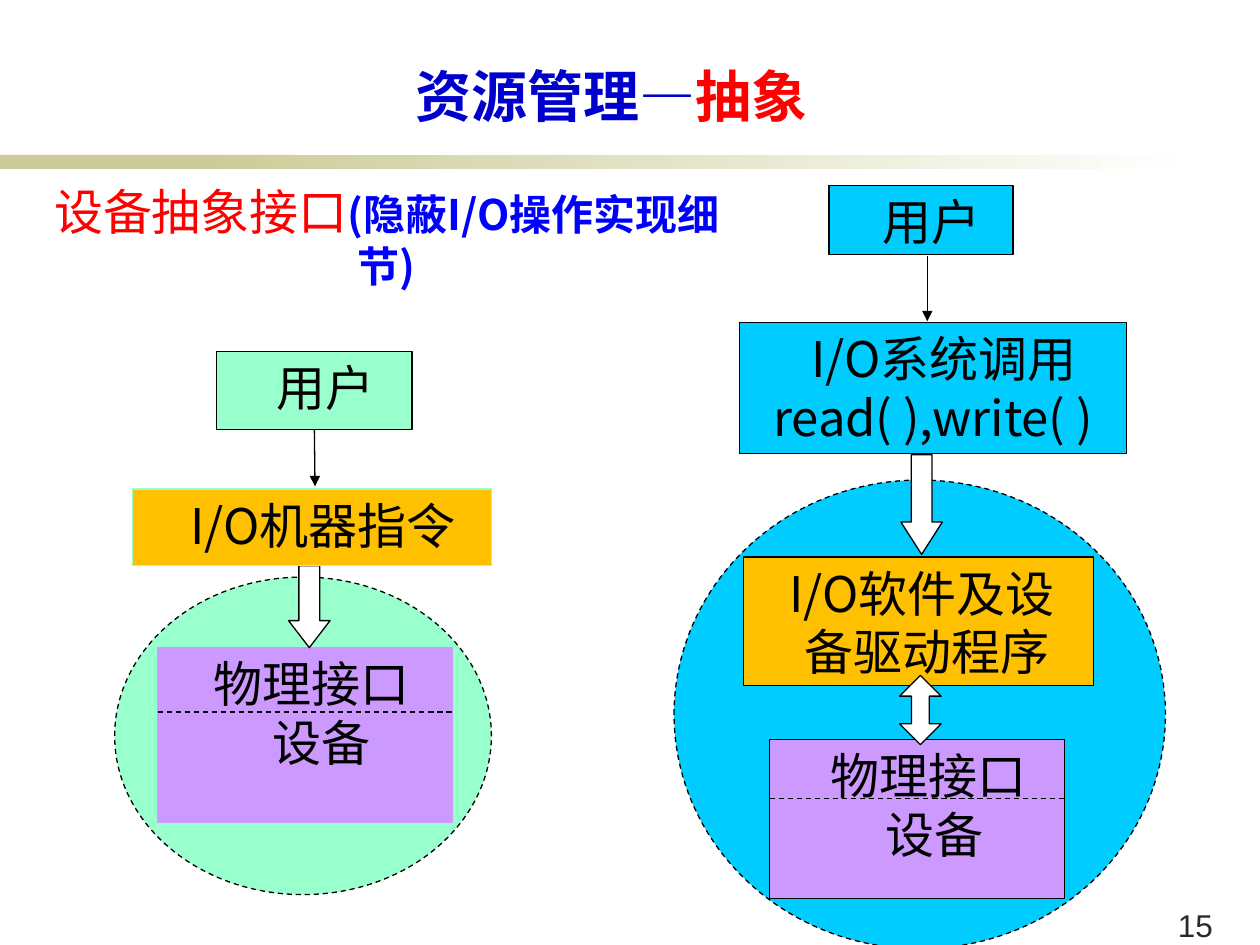
from pptx import Presentation, util as u
from pptx.dml.color import RGBColor
from pptx.enum import dml, shapes, text
from pptx.oxml.ns import qn
from lxml import etree

COLORS = {
    "black": "000000", "white": "FFFFFF", "khaki": "CCCC99", "mint": "99FFCC",
    "violet": "CC99FF", "amber": "FFC000", "cyan": "00CCFF", "navy": "0000CC",
    "blue": "0000FF", "red": "FF0000", "gray": "292929",
}
CJK = "Noto Sans CJK JP"
FRAME = {"word_wrap": True, "auto_size": text.MSO_AUTO_SIZE.NONE,
         "vertical_anchor": text.MSO_ANCHOR.TOP}
CENTERED = {"alignment": text.PP_ALIGN.CENTER, "line_spacing": 1.0,
            "space_before": u.Pt(0)}
Preset = shapes.MSO_SHAPE


def rgb(name):
    """Return the named palette colour."""
    return RGBColor.from_string(COLORS[name])


def apply(target, values):
    """Set every attribute listed in values on target."""
    for key, value in values.items():
        setattr(target, key, value)


def within(box, left, top, width, height):
    """Turn offsets inside a box into a box on the slide."""
    return box[0] + left, box[1] + top, width, height


def inches(box):
    """Convert a box to lengths."""
    return [u.Inches(value) for value in box]


def add_run(paragraph, words, size, color, bold=False, face=CJK):
    """Append a formatted run."""
    run = paragraph.add_run()
    run.text = words
    apply(run.font, {"name": face, "size": u.Pt(size), "bold": bold})
    run.font.color.rgb = rgb(color)
    east_asian = etree.SubElement(run.font._element, qn("a:ea"))
    east_asian.set("typeface", face)


def add_part(slide, box, preset, fill, line="black", dashed=False,
             lines=(), adjustments=()):
    """Add an outlined shape holding (words, first-line indent) paragraphs."""
    part = slide.shapes.add_shape(preset, *inches(box))
    part.shadow.inherit = False
    part.fill.solid()
    part.fill.fore_color.rgb = rgb(fill)
    part.line.color.rgb = rgb(line)
    part.line.width = u.Pt(0.75)
    if dashed:
        part.line.dash_style = dml.MSO_LINE.DASH
    for index, value in enumerate(adjustments):
        part.adjustments[index] = value
    frame = part.text_frame
    apply(frame, FRAME)
    for index, (words, indent) in enumerate(lines):
        paragraph = frame.add_paragraph() if index else frame.paragraphs[0]
        apply(paragraph, CENTERED)
        paragraph._p.get_or_add_pPr().set("indent", str(u.Inches(indent)))
        add_run(paragraph, words, 28, "black")
    return part


def add_line(slide, start, end, dashed=False, arrow=False):
    """Add a thin straight line, dashed or with an arrowhead on request."""
    line = slide.shapes.add_connector(
        shapes.MSO_CONNECTOR.STRAIGHT, *inches(start + end))
    line.line.color.rgb = rgb("black")
    line.line.width = u.Pt(0.75)
    if dashed:
        line.line.dash_style = dml.MSO_LINE.DASH
    if arrow:
        head = etree.SubElement(line.line._get_or_add_ln(), qn("a:tailEnd"))
        head.set("type", "triangle")
    etree.SubElement(line._element.spPr, qn("a:effectLst"))
    return line


def add_device(slide, box, split, line, interface_indent):
    """Add the device block, divided by a dashed line at the split height."""
    add_part(slide, box, Preset.RECTANGLE, "violet", line,
             lines=[("物理接口", interface_indent), ("设备", 0.27)])
    left, top, width, _ = box
    add_line(slide, (left, top + split), (left + width, top + split), dashed=True)


def add_header(slide, box):
    """Place the title and the fading rule below it."""
    left, top, _, _ = box
    solid = slide.shapes.add_shape(
        Preset.RECTANGLE, *inches(within(box, 0, 1.23, 2.33, 0.11)))
    fading = slide.shapes.add_shape(
        Preset.RECTANGLE, *inches(within(box, 1.58, 1.23, 7.92, 0.11)))
    solid.fill.solid()
    solid.fill.fore_color.rgb = rgb("khaki")
    fading.fill.gradient()
    fading.fill.gradient_angle = 0
    for stop, color, position in zip(
            fading.fill.gradient_stops, ("khaki", "white"), (0, 1)):
        stop.color.rgb = rgb(color)
        stop.position = position
    for bar in (solid, fading):
        bar.shadow.inherit = False
        bar.line.fill.background()

    title = slide.shapes.title
    apply(title, dict(zip(("left", "top", "width", "height"),
                          inches((left + 0.83, top + 0.44, 8.05, 0.63)))))
    apply(title.text_frame,
          {**FRAME, "vertical_anchor": text.MSO_ANCHOR.BOTTOM})
    heading = title.text_frame.paragraphs[0]
    apply(heading, CENTERED)
    add_run(heading, "资源管理—", 32, "navy", True)
    add_run(heading, "抽象", 32, "red", True)


def add_subtitle(slide, box):
    """Place the statement about the device interface."""
    frame = slide.shapes.add_textbox(*inches(box)).text_frame
    apply(frame, {**FRAME, "margin_left": u.Inches(0.18),
                  "margin_right": u.Inches(0.18)})
    statement = frame.paragraphs[0]
    apply(statement, CENTERED)
    add_run(statement, "设备抽象接口", 28, "red")
    add_run(statement, "(隐蔽I/O操作实现细节)", 24, "blue", True)


def add_machine_view(slide, box):
    """Draw the user working through machine instructions."""
    add_part(slide, within(box, 0, 1.79, 2.99, 2.52), Preset.OVAL, "mint", dashed=True)
    add_device(slide, within(box, 0.34, 2.35, 2.34, 1.39), 0.51, "violet", 0.1)
    add_part(slide, within(box, 1.38, 1.7, 0.33, 0.65), Preset.DOWN_ARROW,
             "white", adjustments=(0.5, 0.65))
    user = add_part(slide, within(box, 0.81, 0, 1.55, 0.62), Preset.RECTANGLE,
                    "mint", lines=[("用户", 0.17)])
    add_part(slide, within(box, 0.14, 1.09, 2.85, 0.61), Preset.RECTANGLE,
             "amber", "mint", lines=[("I/O机器指令", 0.17)])
    left, top, _, _ = box
    request = add_line(slide, (left + 1.59, top + 0.62),
                       (left + 1.59, top + 1.07), arrow=True)
    request.begin_connect(user, 2)


def add_system_view(slide, box):
    """Draw the user working through system calls and drivers."""
    add_part(slide, within(box, 0, 2.34, 3.9, 3.72), Preset.OVAL, "cyan", dashed=True)
    add_part(slide, within(box, 0.52, 1.09, 3.07, 1.04), Preset.RECTANGLE,
             "cyan", lines=[("I/O系统调用 read( ),write( )", 0.17)])
    add_part(slide, within(box, 0.55, 2.95, 2.78, 1.02), Preset.RECTANGLE,
             "amber", lines=[("I/O软件及设", 0.05), ("备驱动程序", 0.13)])
    add_part(slide, within(box, 1.23, 0, 1.46, 0.55), Preset.RECTANGLE,
             "cyan", lines=[("用户", 0.17)])
    left, top, _, _ = box
    add_line(slide, (left + 2.01, top + 0.56), (left + 2.01, top + 1.08), arrow=True)
    add_part(slide, within(box, 1.8, 2.14, 0.33, 0.79), Preset.DOWN_ARROW,
             "white", adjustments=(0.5, 0.78))
    add_device(slide, within(box, 0.76, 4.4, 2.34, 1.26), 0.47, "black", 0.18)
    add_part(slide, within(box, 1.79, 3.89, 0.33, 0.55), Preset.UP_DOWN_ARROW,
             "white", adjustments=(0.5, 0.43))


def add_page_number(slide, box):
    """Place the page number."""
    frame = slide.shapes.add_textbox(*inches(box)).text_frame
    apply(frame, FRAME)
    add_run(frame.paragraphs[0], "15", 18, "gray", face="Arial")


def main():
    """Build and save the slide."""
    deck = Presentation()
    apply(deck, {"slide_width": u.Inches(10), "slide_height": u.Inches(7.5)})
    slide = deck.slides.add_slide(deck.slide_layouts[5])
    add_header(slide, (0, 0, 10, 1.34))
    add_machine_view(slide, (0.91, 2.79, 2.99, 4.31))
    add_system_view(slide, (5.35, 1.47, 3.9, 6.06))
    add_subtitle(slide, (0.04, 1.39, 6.06, 0.98))
    add_page_number(slide, (9.25, 7.14, 0.63, 0.33))
    deck.save("out.pptx")


if __name__ == "__main__":
    main()
